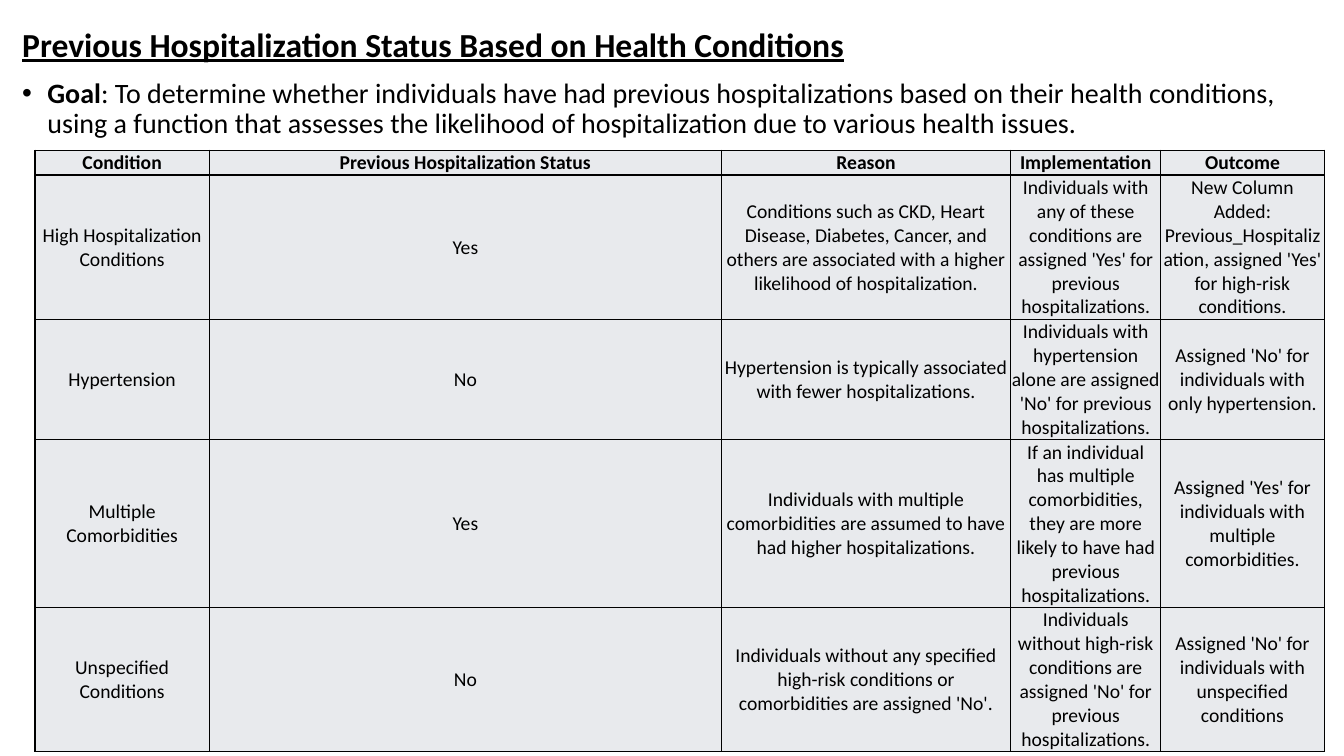
from dataclasses import dataclass

from lxml import etree
from pptx import Presentation
from pptx.dml.color import RGBColor
from pptx.enum.text import MSO_ANCHOR, MSO_AUTO_SIZE, PP_ALIGN
from pptx.oxml.ns import qn
from pptx.util import Pt

LEFT = PP_ALIGN.LEFT
CENTER = PP_ALIGN.CENTER
TOP = MSO_ANCHOR.TOP
MIDDLE = MSO_ANCHOR.MIDDLE
NO_AUTOFIT = MSO_AUTO_SIZE.NONE


@dataclass(frozen=True)
class Theme:
    font: str = "Calibri"
    ink: RGBColor = RGBColor(0x00, 0x00, 0x00)
    paper: RGBColor = RGBColor(0xFF, 0xFF, 0xFF)
    cell: RGBColor = RGBColor(0xE8, 0xEA, 0xED)
    title_size: int = 24
    goal_size: int = 20
    table_size: int = 14
    border: int = 1


THEME = Theme()

TITLE = "Previous Hospitalization Status Based on Health Conditions"
GOAL = (
    ": To determine whether individuals have had previous hospitalizations based on "
    "their health conditions, using a function that assesses the likelihood of "
    "hospitalization due to various health issues."
)
COLUMN_WIDTHS = (124.56, 365.76, 206.64, 107.28, 116.64)
ROW_HEIGHTS = (14, 70, 70, 84, 70)
ROWS = (
    ("Condition", "Previous Hospitalization Status", "Reason", "Implementation", "Outcome"),
    (
        "High Hospitalization Conditions",
        "Yes",
        "Conditions such as CKD, Heart Disease, Diabetes, Cancer, and others are "
        "associated with a higher likelihood of hospitalization.",
        "Individuals with any of these conditions are assigned 'Yes' for previous "
        "hospitalizations.",
        "New Column Added: Previous_Hospitalization, assigned 'Yes' for high-risk "
        "conditions.",
    ),
    (
        "Hypertension",
        "No",
        "Hypertension is typically associated with fewer hospitalizations.",
        "Individuals with hypertension alone are assigned 'No' for previous "
        "hospitalizations.",
        "Assigned 'No' for individuals with only hypertension.",
    ),
    (
        "Multiple Comorbidities",
        "Yes",
        "Individuals with multiple comorbidities are assumed to have had higher "
        "hospitalizations.",
        "If an individual has multiple comorbidities, they are more likely to have had "
        "previous hospitalizations.",
        "Assigned 'Yes' for individuals with multiple comorbidities.",
    ),
    (
        "Unspecified Conditions",
        "No",
        "Individuals without any specified high-risk conditions or comorbidities are "
        "assigned 'No'.",
        "Individuals without high-risk conditions are assigned 'No' for previous "
        "hospitalizations.",
        "Assigned 'No' for individuals with unspecified conditions",
    ),
)


def add_run(paragraph, text, size, bold=False, underline=False):
    run = paragraph.add_run()
    run.text = text
    font = run.font
    font.name = THEME.font
    font.size = Pt(size)
    font.bold = bold
    font.underline = underline
    font.color.rgb = THEME.ink


def prepare_placeholder(shape, left, top, width, height):
    shape.left, shape.top = Pt(left), Pt(top)
    shape.width, shape.height = Pt(width), Pt(height)
    frame = shape.text_frame
    frame.word_wrap = True
    frame.auto_size = NO_AUTOFIT
    frame.vertical_anchor = TOP
    paragraph = frame.paragraphs[0]
    paragraph.alignment = LEFT
    paragraph.line_spacing = 0.9
    paragraph.space_before = Pt(0)
    return paragraph


def add_bullet(paragraph, indent):
    properties = paragraph._p.get_or_add_pPr()
    properties.set("marL", str(Pt(indent)))
    properties.set("indent", str(-Pt(indent)))
    etree.SubElement(properties, qn("a:buFont"), typeface="Arial")
    etree.SubElement(properties, qn("a:buChar"), char="•")


def add_borders(cell):
    properties = cell._tc.get_or_add_tcPr()
    for position, side in enumerate(("a:lnL", "a:lnR", "a:lnT", "a:lnB")):
        line = etree.Element(qn(side), w=str(Pt(THEME.border)))
        fill = etree.SubElement(line, qn("a:solidFill"))
        etree.SubElement(fill, qn("a:srgbClr"), val=str(THEME.ink))
        properties.insert(position, line)


def fill_cell(cell, text, bold):
    cell.fill.solid()
    cell.fill.fore_color.rgb = THEME.cell
    cell.vertical_anchor = MIDDLE
    cell.margin_left = cell.margin_right = cell.margin_top = Pt(0.7)
    cell.margin_bottom = Pt(0)
    paragraph = cell.text_frame.paragraphs[0]
    paragraph.alignment = CENTER
    add_run(paragraph, text, THEME.table_size, bold=bold)
    add_borders(cell)


def add_conditions_table(slide, left, top, height):
    shape = slide.shapes.add_table(
        len(ROWS), len(COLUMN_WIDTHS), Pt(left), Pt(top), Pt(sum(COLUMN_WIDTHS)), Pt(height)
    )
    table = shape.table
    table.horz_banding = False
    for column, width in zip(table.columns, COLUMN_WIDTHS):
        column.width = Pt(width)
    for row, row_height, texts in zip(table.rows, ROW_HEIGHTS, ROWS):
        row.height = Pt(row_height)
        for cell, text in zip(row.cells, texts):
            fill_cell(cell, text, bold=texts is ROWS[0])
    shape.height = Pt(height)


def main():
    presentation = Presentation()
    presentation.slide_width, presentation.slide_height = Pt(960), Pt(540)
    slide = presentation.slides.add_slide(presentation.slide_layouts[1])
    slide.background.fill.solid()
    slide.background.fill.fore_color.rgb = THEME.paper

    title = prepare_placeholder(slide.shapes.title, 8.64, 16.56, 936.72, 34)
    add_run(title, TITLE, THEME.title_size, bold=True, underline=True)

    goal = prepare_placeholder(slide.placeholders[1], 8.64, 53, 936.72, 52)
    add_bullet(goal, 18)
    add_run(goal, "Goal", THEME.goal_size, bold=True)
    add_run(goal, GOAL, THEME.goal_size)

    add_conditions_table(slide, 25, 107.28, 422.64)
    presentation.save("out.pptx")


if __name__ == "__main__":
    main()
